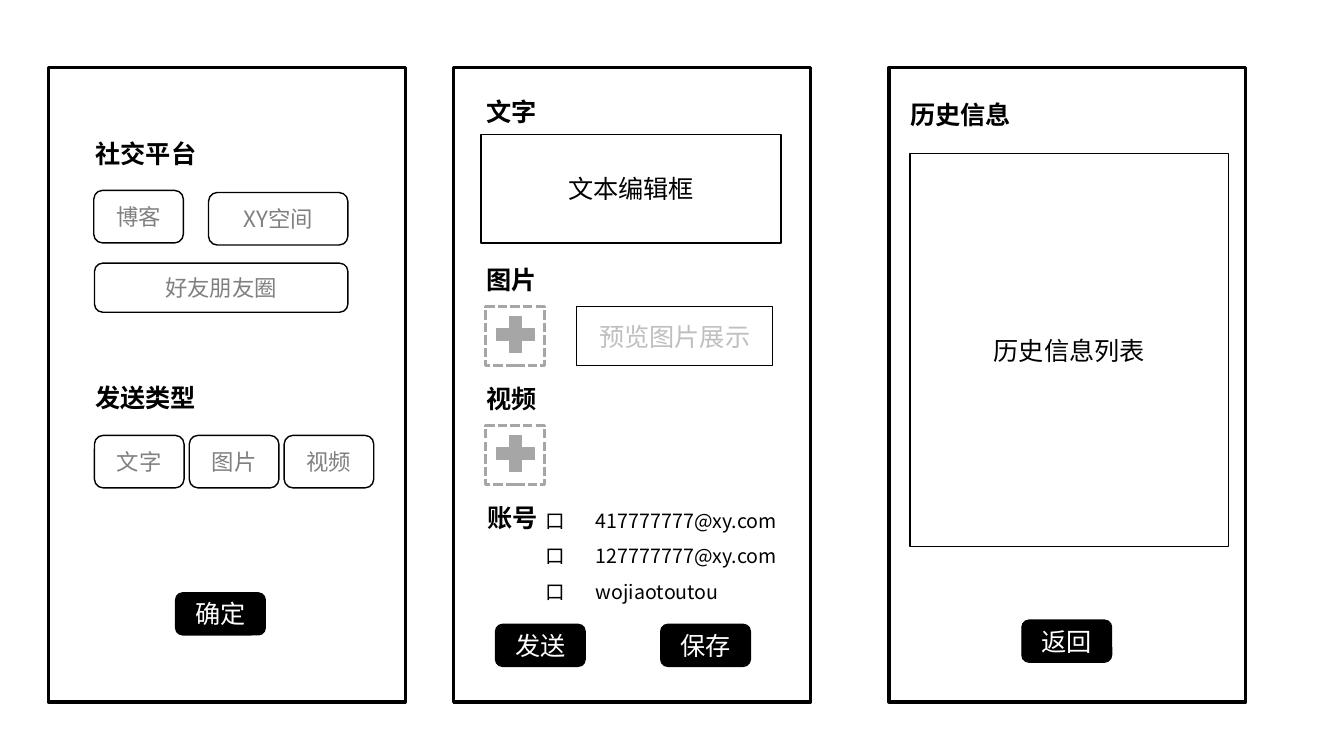
"""Build a slide with three phone wireframes for posting to social platforms."""
from dataclasses import dataclass

from lxml import etree
from pptx import Presentation
from pptx import util as u
from pptx.dml.color import RGBColor
from pptx.enum import dml, shapes, text
from pptx.oxml.ns import qn

FONT = "Noto Sans CJK SC"
HUES = {"black": "000000", "white": "FFFFFF", "gray": "808080",
        "mid": "A6A6A6", "pale": "BFBFBF"}
KINDS = shapes.MSO_SHAPE
RECT, ROUND, PLUS = KINDS.RECTANGLE, KINDS.ROUNDED_RECTANGLE, KINDS.MATH_PLUS
LEFT, MID = text.PP_ALIGN.LEFT, text.PP_ALIGN.CENTER


@dataclass(frozen=True)
class Box:
    """A filled and outlined shape, with an optional label."""
    x: float
    y: float
    w: float
    h: float
    label: str = ""
    kind: int = RECT
    fill: str = "white"
    line: str = "black"
    width: float = 1
    dash: bool = False
    ink: str = "black"
    size: int = 18


@dataclass(frozen=True)
class Head:
    """A bold section heading."""
    x: float
    y: float
    label: str


@dataclass(frozen=True)
class Row:
    """An account with its tab stop."""
    label: str
    stop: float


def phone(x: float) -> Box:
    """Return the frame of one phone."""
    return Box(x, 48, 255, 453.5, width=2.25)


def chip(x: float, y: float, w: float, h: float, label: str) -> Box:
    """Return a rounded option."""
    return Box(x, y, w, h, label, ROUND, ink="gray", size=16)


def button(x: float, y: float, label: str) -> Box:
    """Return a black button."""
    return Box(x, y, 64, 30, label, ROUND, fill="black", ink="white")


def adder(y: float) -> list[Box]:
    """Return a dashed tile with its plus sign."""
    return [Box(347, y, 42, 42, line="mid", width=2.25, dash=True),
            Box(350, y + 2.5, 36.5, 35, kind=PLUS, fill="mid", line="mid")]


BOXES = [
    phone(34.5), phone(324), phone(635),
    chip(67, 136, 64, 37.5, "博客"),
    chip(149, 137.5, 99.5, 37.5, "XY空间"),
    chip(67.5, 188, 181, 35, "好友朋友圈"),
    *(chip(67.5 + 67.75 * i, 311, 64, 37.5, kind)
      for i, kind in enumerate(("文字", "图片", "视频"))),
    button(125.5, 423.5, "确定"),
    Box(343.5, 96, 214.5, 77.5, "文本编辑框"),
    *adder(219), *adder(304),
    Box(412, 219, 140, 42, "预览图片展示", ink="pale"),
    button(354, 446, "发送"), button(472, 446, "保存"),
    Box(650, 109.5, 227.5, 281, "历史信息列表"),
    button(730, 443, "返回"),
]
TOP = Head(61, 95, "社交平台")
HEADS = [Head(61, 269.5, "发送类型"), Head(340.5, 65.5, "文字"),
         Head(340.5, 185.5, "图片"), Head(340.5, 270, "视频"),
         Head(341, 355, "账号"), Head(643, 67.5, "历史信息")]
ROWS = [Row("417777777@xy.com", 48.5), Row("127777777@xy.com", 48.5),
        Row("wojiaotoutou", 51.5)]


def tint(name: str) -> RGBColor:
    """Look up a colour."""
    return RGBColor.from_string(HUES[name])


def style(para, size: int, ink: str, align, bold: bool = False) -> None:
    """Set the font and alignment of a paragraph."""
    para.alignment = align
    font = para.font
    font.name, font.size, font.bold = FONT, u.Pt(size), bold
    font.color.rgb = tint(ink)
    etree.SubElement(font._rPr, qn("a:ea"), typeface=FONT)


def place(item, x: float, y: float, w: float, h: float) -> None:
    """Move and size an item."""
    item.left, item.top, item.width, item.height = map(u.Pt, (x, y, w, h))


def setup(frame) -> None:
    """Anchor a text frame at the top, wrapped, at a fixed size."""
    frame.word_wrap = True
    frame.auto_size = text.MSO_AUTO_SIZE.NONE
    frame.vertical_anchor = text.MSO_ANCHOR.TOP


def draw(slide, box: Box) -> None:
    """Draw one box."""
    item = slide.shapes.add_shape(
        box.kind, *map(u.Pt, (box.x, box.y, box.w, box.h)))
    item.shadow.inherit = False
    item.fill.solid()
    item.fill.fore_color.rgb = tint(box.fill)
    item.line.color.rgb = tint(box.line)
    item.line.width = u.Pt(box.width)
    if box.dash:
        item.line.dash_style = dml.MSO_LINE.SQUARE_DOT
    if box.label:
        frame = item.text_frame
        frame.vertical_anchor = text.MSO_ANCHOR.MIDDLE
        frame.text = box.label
        style(frame.paragraphs[0], box.size, box.ink, MID)


def title(item, head: Head) -> None:
    """Write a heading into a text item."""
    place(item, head.x, head.y, 91, 29)
    setup(item.text_frame)
    item.text_frame.text = head.label
    style(item.text_frame.paragraphs[0], 18, "black", LEFT, True)


def listing(item, rows: list[Row]) -> None:
    """Write the accounts with their check boxes."""
    place(item, 382.5, 351.5, 245.5, 83.5)
    frame = item.text_frame
    setup(frame)
    frame.text = "\n".join(f"口\t{row.label}" for row in rows)
    for para, row in zip(frame.paragraphs, rows):
        para.line_spacing = 1.5
        para.space_before = u.Pt(0)
        props = para._p.get_or_add_pPr()
        props.set("marL", "0")
        props.set("indent", "0")
        etree.SubElement(props, qn("a:buNone"))
        tabs = etree.SubElement(props, qn("a:tabLst"))
        etree.SubElement(tabs, qn("a:tab"), pos=str(u.Pt(row.stop)), algn="l")
        style(para, 14, "black", LEFT)


def main() -> None:
    """Build and save the slide."""
    deck = Presentation()
    deck.slide_width, deck.slide_height = u.Pt(960), u.Pt(540)
    slide = deck.slides.add_slide(deck.slide_layouts[1])
    for box in BOXES:
        draw(slide, box)
    for head in HEADS:
        title(slide.shapes.add_textbox(0, 0, 0, 0), head)
    name, body = slide.shapes.title, slide.placeholders[1]
    title(name, TOP)
    listing(body, ROWS)
    for item in (name, body):
        slide.shapes._spTree.append(item._element)
    deck.save("out.pptx")


if __name__ == "__main__":
    main()
